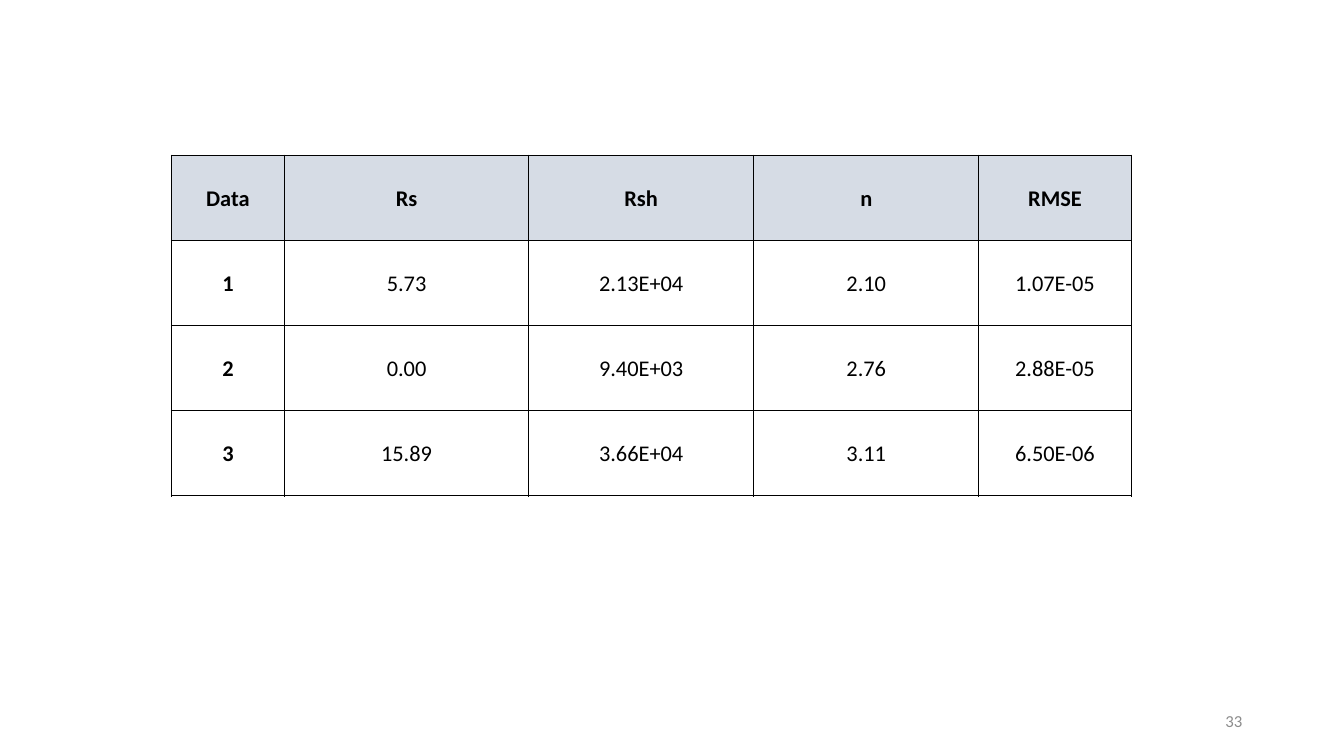
from lxml.etree import SubElement
from pptx import Presentation
from pptx.dml.color import RGBColor
from pptx.enum.text import MSO_ANCHOR, PP_ALIGN
from pptx.oxml.ns import qn
from pptx.util import Inches, Pt

FONT = "Calibri"
COL_WIDTHS = [1.12, 2.42, 2.23, 2.23, 1.51]
ROWS = [
    ["Data", "Rs", "Rsh", "n", "RMSE"],
    ["1", "5.73", "2.13E+04", "2.10", "1.07E-05"],
    ["2", "0.00", "9.40E+03", "2.76", "2.88E-05"],
    ["3", "15.89", "3.66E+04", "3.11", "6.50E-06"],
]


def rgb(color):
    return RGBColor.from_string(color)


def style_paragraph(p, size, color, align, bold=False):
    p.alignment = align
    p.font.name = FONT
    p.font.size = Pt(size)
    p.font.bold = bold
    p.font.color.rgb = rgb(color)


def add_borders(cell, color, width):
    tcPr = cell._tc.get_or_add_tcPr()
    for side in ("a:lnL", "a:lnR", "a:lnT", "a:lnB"):
        ln = SubElement(tcPr, qn(side), w=str(Pt(width)))
        fill = SubElement(ln, qn("a:solidFill"))
        SubElement(fill, qn("a:srgbClr"), val=color)


def format_cell(cell, text, header, bold):
    cell.text = text
    cell.vertical_anchor = MSO_ANCHOR.MIDDLE
    cell.margin_left = cell.margin_right = cell.margin_top = Inches(0.01)
    cell.margin_bottom = 0
    style_paragraph(cell.text_frame.paragraphs[0], 16, "000000", PP_ALIGN.CENTER, bold)
    add_borders(cell, "000000", 1)
    if header:
        cell.fill.solid()
        cell.fill.fore_color.rgb = rgb("D6DCE5")
    else:
        cell.fill.background()


def add_results_table(s, x, y, w, h):
    table = s.shapes.add_table(
        len(ROWS), len(COL_WIDTHS), Inches(x), Inches(y), Inches(w), Inches(h)
    ).table
    table.horz_banding = False
    for column, width in zip(table.columns, COL_WIDTHS):
        column.width = Inches(w * width / sum(COL_WIDTHS))
    for i, values in enumerate(ROWS):
        table.rows[i].height = Inches(h / len(ROWS))
        for j, text in enumerate(values):
            format_cell(table.cell(i, j), text, i == 0, i == 0 or j == 0)


def add_page_number(s, x, y, w, h, number):
    tf = s.shapes.add_textbox(Inches(x), Inches(y), Inches(w), Inches(h)).text_frame
    tf.word_wrap = True
    tf.vertical_anchor = MSO_ANCHOR.MIDDLE
    tf.text = number
    style_paragraph(tf.paragraphs[0], 12, "8C8C8C", PP_ALIGN.RIGHT)


def main():
    prs = Presentation()
    prs.slide_width, prs.slide_height = Inches(13.33), Inches(7.5)
    s = prs.slides.add_slide(prs.slide_layouts[6])
    add_results_table(s, 1.7, 1.54, 9.52, 3.38)
    add_page_number(s, 9.42, 6.95, 3, 0.4, "33")
    prs.save("out.pptx")


if __name__ == "__main__":
    main()
